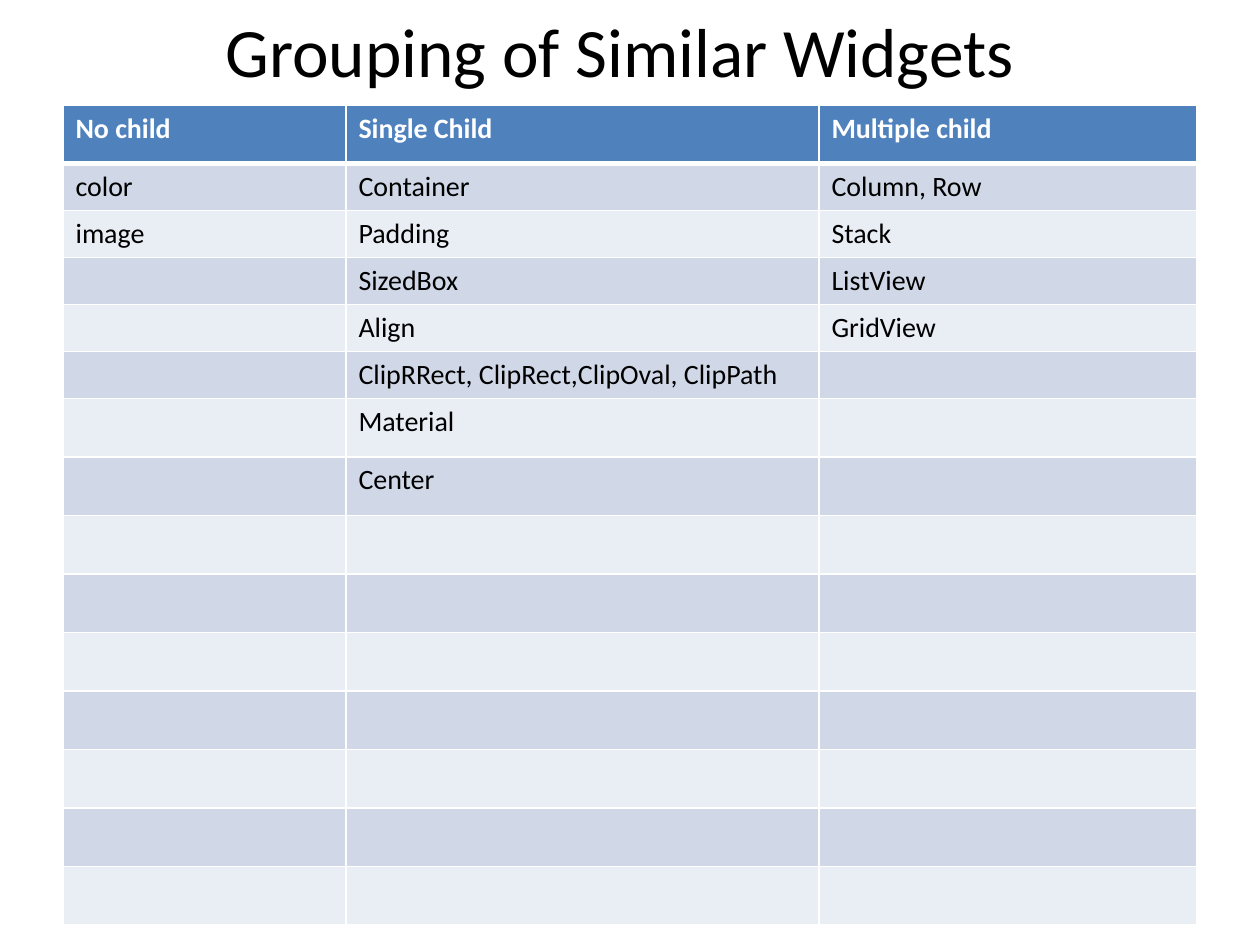
import pptx
import pptx.dml.color
import pptx.enum.text
import pptx.oxml
import pptx.oxml.ns
import pptx.util
from lxml import etree

RGBColor = pptx.dml.color.RGBColor
BLACK = RGBColor(0x00, 0x00, 0x00)
WHITE = RGBColor(0xFF, 0xFF, 0xFF)
HEADER_BLUE = RGBColor(0x4F, 0x81, 0xBD)
BAND_DARK = RGBColor(0xD0, 0xD8, 0xE8)
BAND_LIGHT = RGBColor(0xE9, 0xED, 0xF4)

PX_PER_INCH = 126
NO_CHILD = ["color", "image"]
SINGLE_CHILD = ["Container", "Padding", "SizedBox", "Align",
                "ClipRRect, ClipRect,ClipOval, ClipPath", "Material", "Center"]
MULTIPLE_CHILD = ["Column, Row", "Stack", "ListView", "GridView"]
WIDGET_GROUPS = {"No child": NO_CHILD, "Single Child": SINGLE_CHILD,
                 "Multiple child": MULTIPLE_CHILD}
GROUP_WIDTHS = [283, 473, 378]
ROW_COUNT = 15
COMPACT_ROWS = range(1, 6)
COMPACT_HEIGHT = 47
TABLE_HEIGHT = 820


def emu(px):
    return pptx.util.Emu(round(px * 914400 / PX_PER_INCH))


class WidgetSlide:
    font_name = "Calibri"
    title_size = 39.6
    cell_size = 16

    def __init__(self, presentation):
        self.slide = presentation.slides.add_slide(presentation.slide_layouts[5])

    def text_run(self, paragraph, text, size, color, bold=False):
        run = paragraph.add_run()
        run.text = text
        run.font.name = self.font_name
        run.font.size = pptx.util.Pt(size)
        run.font.bold = bold
        run.font.color.rgb = color

    def title(self, text, left, top, width, height):
        heading = self.slide.shapes.title
        heading.left, heading.top = emu(left), emu(top)
        heading.width, heading.height = emu(width), emu(height)
        frame = heading.text_frame
        frame.word_wrap = True
        frame.auto_size = pptx.enum.text.MSO_AUTO_SIZE.NONE
        frame.vertical_anchor = pptx.enum.text.MSO_ANCHOR.MIDDLE
        paragraph = frame.paragraphs[0]
        paragraph.alignment = pptx.enum.text.PP_ALIGN.CENTER
        self.text_run(paragraph, text, self.title_size, BLACK)

    def borders(self, cell, top, bottom):
        properties = cell._tc.get_or_add_tcPr()
        for side, points in (("L", 1), ("R", 1), ("T", top), ("B", bottom)):
            properties.append(pptx.oxml.parse_xml(
                f'<a:ln{side} {pptx.oxml.ns.nsdecls("a")} w="{pptx.util.Pt(points)}">'
                f'<a:solidFill><a:srgbClr val="{WHITE}"/></a:solidFill></a:ln{side}>'))

    def cell(self, cell, row, text):
        self.borders(cell, 3 if row == 1 else 1, 3 if row == 0 else 1)
        cell.fill.solid()
        if row == 0:
            cell.fill.fore_color.rgb = HEADER_BLUE
        else:
            cell.fill.fore_color.rgb = BAND_DARK if row % 2 else BAND_LIGHT
        paragraph = cell.text_frame.paragraphs[0]
        if text:
            self.text_run(paragraph, text, self.cell_size,
                          BLACK if row else WHITE, bold=row == 0)
        else:
            etree.SubElement(paragraph._p, pptx.oxml.ns.qn("a:endParaRPr"),
                             sz=str(self.cell_size * 100))

    def table(self, groups, left, top, widths, heights):
        table = self.slide.shapes.add_table(
            len(heights), len(widths), emu(left), emu(top),
            emu(sum(widths)), emu(sum(heights))).table
        for row, height in enumerate(heights):
            table.rows[row].height = emu(height)
        for column, (group, widgets) in enumerate(groups.items()):
            table.columns[column].width = emu(widths[column])
            entries = [group, *widgets]
            entries += [""] * (len(heights) - len(entries))
            for row, text in enumerate(entries):
                self.cell(table.cell(row, column), row, text)


def main():
    presentation = pptx.Presentation()
    presentation.slide_width = emu(1260)
    presentation.slide_height = emu(945)
    tall_height = ((TABLE_HEIGHT - len(COMPACT_ROWS) * COMPACT_HEIGHT)
                   / (ROW_COUNT - len(COMPACT_ROWS)))
    heights = [COMPACT_HEIGHT if row in COMPACT_ROWS else tall_height
               for row in range(ROW_COUNT)]
    page = WidgetSlide(presentation)
    page.title("Grouping of Similar Widgets", 53, 21, 1134, 57)
    page.table(WIDGET_GROUPS, 63, 105, GROUP_WIDTHS, heights)
    presentation.save("out.pptx")


if __name__ == "__main__":
    main()
